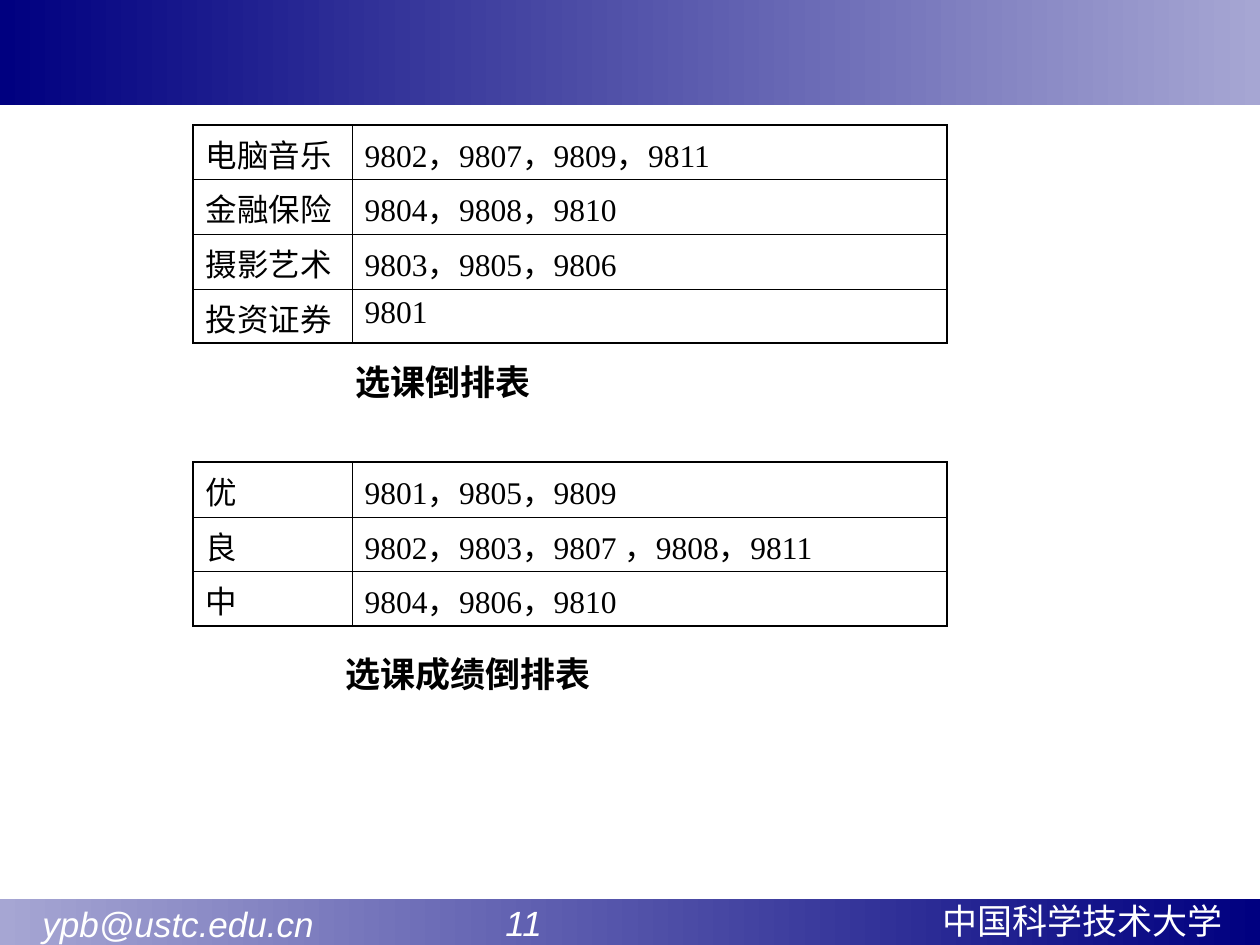
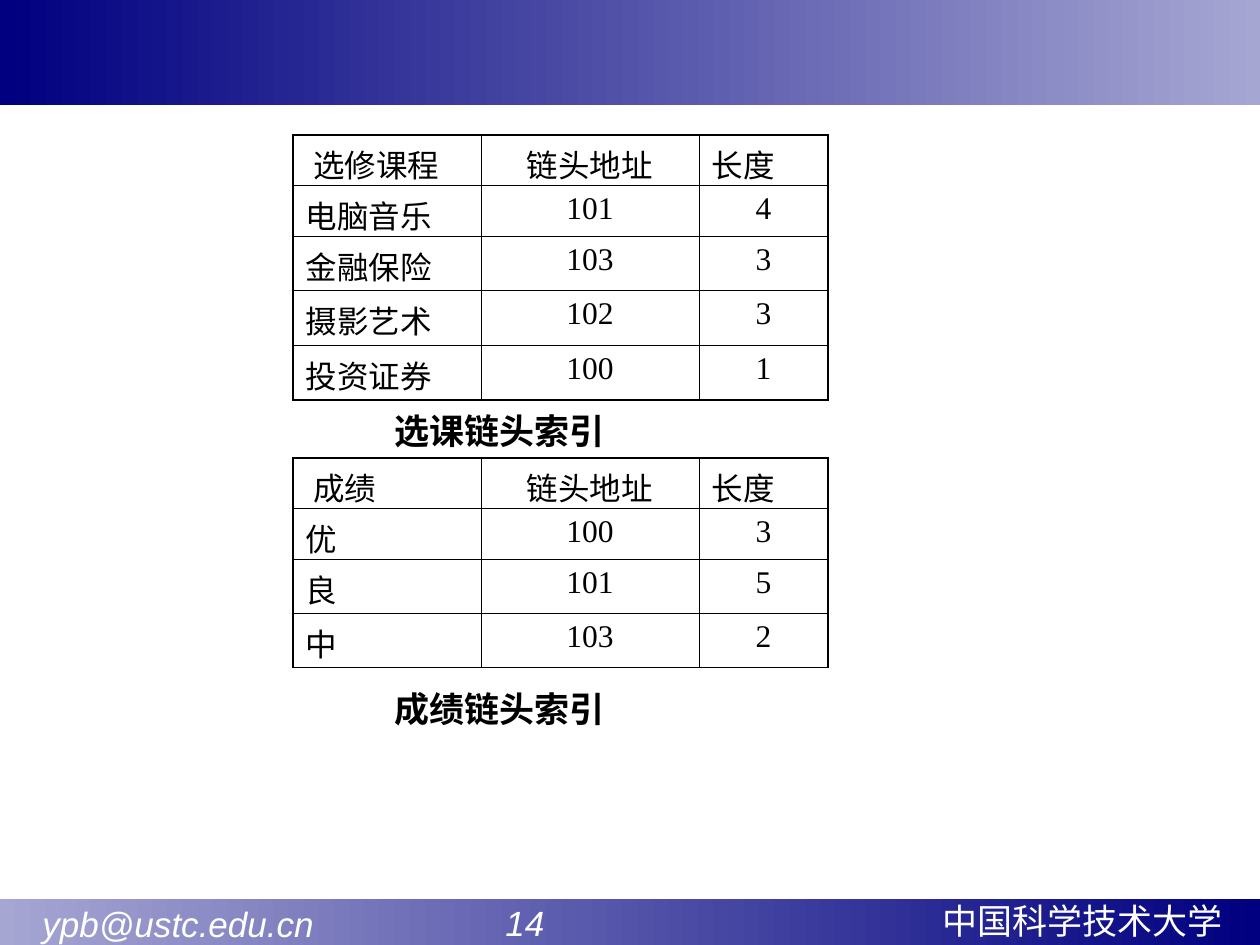
from lxml import etree
from pptx import Presentation, util as u
from pptx.dml.color import RGBColor
from pptx.enum import shapes, text
from pptx.oxml import ns

COLORS = {"navy": "000080", "lavender": "A6A6D3", "white": "FFFFFF", "ink": "000000"}
SERIF, SANS = "Times New Roman", "Arial"
PAGE_WIDTH, PAGE_HEIGHT = 1260, 945
OUTER_LINE, INNER_LINE = u.Pt(1.08), u.Pt(0.45)
JUSTIFY, CENTER = text.PP_ALIGN.JUSTIFY, text.PP_ALIGN.CENTER


def px(*lengths):
    """Turn lengths at 126 px to the inch into EMU."""
    return [u.Emu(round(length * 914400 / 126)) for length in lengths]


def color(name):
    return RGBColor.from_string(COLORS[name])


def style(para, face, size, ink, bold=False, italic=False):
    font = para.font
    font.name, font.size = face, u.Pt(size)
    font.bold, font.italic = bold, italic
    font.color.rgb = color(ink)


def add_band(page, box, start, end):
    band = page.shapes.add_shape(shapes.MSO_SHAPE.RECTANGLE, *px(*box))
    band.shadow.inherit = False
    band.line.fill.background()
    band.fill.gradient()
    band.fill.gradient_angle = 0
    for stop, name in zip(band.fill.gradient_stops, (start, end)):
        stop.color.rgb = color(name)


def add_label(page, box, words, face, ink, **emphasis):
    frame = page.shapes.add_textbox(*px(*box)).text_frame
    frame.word_wrap = True
    para = frame.paragraphs[0]
    para.text = words
    style(para, face, 20, ink, **emphasis)


def add_frame(page, number):
    """Draw the top band and the footer with its three labels."""
    footer_top = 899
    add_band(page, (0, footer_top, PAGE_WIDTH, PAGE_HEIGHT - footer_top), "lavender", "navy")
    add_band(page, (0, 0, PAGE_WIDTH, 105), "navy", "lavender")
    add_label(page, (930, footer_top - 6, 324, 55), "中国科学技术大学", SANS, "white")
    add_label(page, (493, footer_top - 4, 185, 55), str(number), SANS, "white", italic=True)
    add_label(page, (30, footer_top - 3, 306, 55), "ypb@ustc.edu.cn", SANS, "white", italic=True)


def set_borders(cell, outer_sides):
    """Rule all four sides of a cell, heavier where it meets the table's edge."""
    properties = cell._tc.get_or_add_tcPr()
    for place, side in enumerate("LRTB"):
        width = OUTER_LINE if side in outer_sides else INNER_LINE
        line = etree.Element(ns.qn(f"a:ln{side}"), w=str(int(width)))
        fill = etree.SubElement(line, ns.qn("a:solidFill"))
        etree.SubElement(fill, ns.qn("a:srgbClr"), val=COLORS["ink"])
        properties.insert(place, line)


def add_index_table(page, left, top, widths, heights, rows, has_header=False):
    last_row, last_column = len(heights) - 1, len(widths) - 1
    box = px(left, top, sum(widths), sum(heights))
    table = page.shapes.add_table(len(heights), len(widths), *box).table
    table.first_row = table.horz_banding = False
    for column, width in zip(table.columns, px(*widths)):
        column.width = width
    for row, height in zip(table.rows, px(*heights)):
        row.height = height

    for r, values in enumerate(rows):
        for c, value in enumerate(values):
            cell = table.cell(r, c)
            cell.fill.background()
            edges = {"L": c == 0, "R": c == last_column, "T": r == 0, "B": r == last_row}
            set_borders(cell, [side for side, outer in edges.items() if outer])
            para = cell.text_frame.paragraphs[0]
            para.text = value
            para.alignment = JUSTIFY
            style(para, SERIF, 18, "ink")
            if has_header:
                if c == 1 or (c == 2 and r > 0):
                    para.alignment = CENTER
                if r == c == 0:
                    cell.margin_left = px(20)[0]


def add_inverted_lists(page):
    left, widths = 193, (159, 595)
    add_index_table(page, left, 125, widths, (54, 55, 55, 54), [
        ("电脑音乐", "9802，9807，9809，9811"),
        ("金融保险", "9804，9808，9810"),
        ("摄影艺术", "9803，9805，9806"),
        ("投资证券", "9801"),
    ])
    add_label(page, (343, 354, 466, 55), "选课倒排表", SERIF, "ink", bold=True)
    add_index_table(page, left, 462, widths, (55, 54, 55), [
        ("优", "9801，9805，9809"),
        ("良", "9802，9803，9807 ，9808，9811"),
        ("中", "9804，9806，9810"),
    ])
    add_label(page, (333, 646, 466, 55), "选课成绩倒排表", SERIF, "ink", bold=True)


def add_chain_heads(page):
    left, widths = 293, (188, 218, 129)
    shared_headings = ("链头地址", "长度")
    add_index_table(page, left, 135, widths, (50, 51, 54, 55, 55), [
        ("选修课程", *shared_headings),
        ("电脑音乐", "101", "4"),
        ("金融保险", "103", "3"),
        ("摄影艺术", "102", "3"),
        ("投资证券", "100", "1"),
    ], has_header=True)
    add_label(page, (382, 403, 258, 55), "选课链头索引", SERIF, "ink", bold=True)
    add_index_table(page, left, 458, widths, (50, 51, 54, 54), [
        ("成绩", *shared_headings),
        ("优", "100", "3"),
        ("良", "101", "5"),
        ("中", "103", "2"),
    ], has_header=True)
    add_label(page, (382, 681, 258, 55), "成绩链头索引", SERIF, "ink", bold=True)


def main():
    deck = Presentation()
    deck.slide_width, deck.slide_height = px(PAGE_WIDTH, PAGE_HEIGHT)
    blank = deck.slide_layouts[6]
    for number, add_content in ((11, add_inverted_lists), (14, add_chain_heads)):
        page = deck.slides.add_slide(blank)
        add_frame(page, number)
        add_content(page)
    deck.save("out.pptx")


if __name__ == "__main__":
    main()
